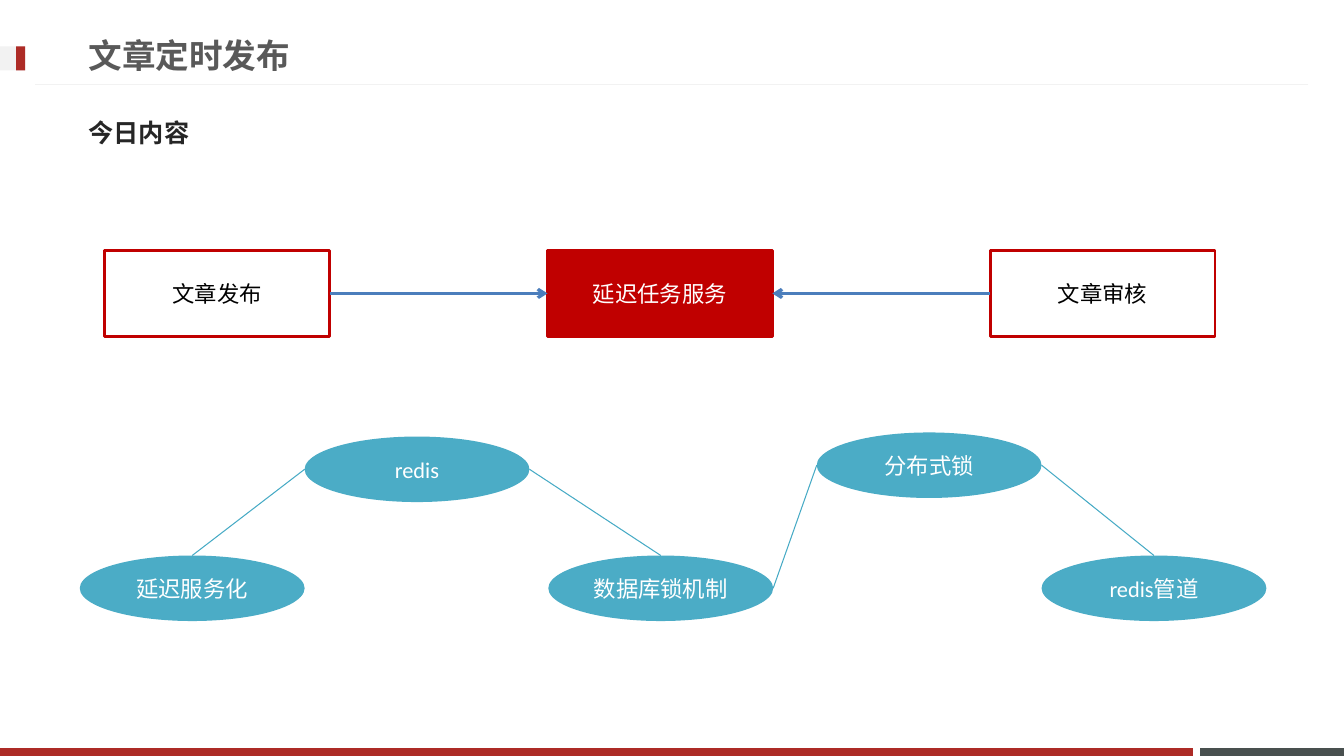
from lxml import etree
from pptx import Presentation
from pptx.dml.color import RGBColor
from pptx.enum.lang import MSO_LANGUAGE_ID
from pptx.enum.shapes import MSO_CONNECTOR, MSO_SHAPE
from pptx.enum.text import MSO_ANCHOR, PP_ALIGN
from pptx.oxml.ns import qn
from pptx.util import Pt

RECT, OVAL = MSO_SHAPE.RECTANGLE, MSO_SHAPE.OVAL
STRAIGHT = MSO_CONNECTOR.STRAIGHT
LEFT, CENTER = PP_ALIGN.LEFT, PP_ALIGN.CENTER
MIDDLE = MSO_ANCHOR.MIDDLE
CHINESE = MSO_LANGUAGE_ID.SIMPLIFIED_CHINESE
COLORS = {
    "brand": "AD2B26", "slate": "49504F", "pale": "F2F2F2",
    "title": "595959", "heading": "262626", "black": "000000", "white": "FFFFFF",
    "red": "C00000", "arrow": "4B7EBC", "teal": "4BACC6", "link": "46AAC5",
}

prs = Presentation()
prs.slide_width, prs.slide_height = Pt(960), Pt(540)
slide = prs.slides.add_slide(prs.slide_layouts[6])
shapes = slide.shapes


def write(sp, text, size=16, font="Calibri", color="white", bold=False, align=CENTER):
    tf = sp.text_frame
    tf.word_wrap = True
    tf.vertical_anchor = MIDDLE
    p = tf.paragraphs[0]
    p.alignment = align
    r = p.add_run()
    r.text = text
    r.font.size, r.font.name, r.font.bold = Pt(size), font, bold
    r.font.color.rgb = RGBColor.from_string(COLORS[color])
    r.font.language_id = CHINESE


def connect(x1, y1, x2, y2, color, width):
    line = shapes.add_connector(STRAIGHT, Pt(x1), Pt(y1), Pt(x2), Pt(y2))
    line.line.color.rgb = RGBColor.from_string(COLORS[color])
    line.line.width = Pt(width)
    etree.SubElement(line._element.spPr, qn("a:effectLst"))
    return line


# Footer bars and title marker
for x, y, w, h, color in [
    (857.3, 534.3, 102.7, 5.7, "slate"),
    (0, 534.3, 852, 5.7, "brand"),
    (0, 33.1, 18, 17.3, "pale"),
    (11.5, 33.1, 6.5, 17.3, "brand"),
]:
    sp = shapes.add_shape(RECT, Pt(x), Pt(y), Pt(w), Pt(h))
    sp.shadow.inherit = False
    sp.fill.solid()
    sp.fill.fore_color.rgb = RGBColor.from_string(COLORS[color])
    sp.line.fill.background()
connect(934.6, 60.5, 25.2, 60.5, "pale", 0.75)

# Title and heading
title = shapes.add_textbox(Pt(56.2), Pt(18.7), Pt(690.5), Pt(41))
write(title, "文章定时发布", size=24, font="Arial", color="title", bold=True, align=LEFT)
heading = shapes.add_textbox(Pt(56.2), Pt(74.2), Pt(842.4), Pt(41))
write(heading, "今日内容", size=18, font="Noto Sans CJK JP", color="heading",
      bold=True, align=LEFT)

# Services
services = []
for i, (text, filled) in enumerate([
    ("文章发布", False), ("延迟任务服务", True), ("文章审核", False),
]):
    sp = shapes.add_shape(RECT, Pt(74.9 + 316.2 * i), Pt(179), Pt(160.6), Pt(61.2))
    sp.shadow.inherit = False
    if filled:
        sp.fill.solid()
        sp.fill.fore_color.rgb = RGBColor.from_string(COLORS["red"])
    else:
        sp.fill.background()
    sp.line.color.rgb = RGBColor.from_string(COLORS["red"])
    sp.line.width = Pt(2)
    write(sp, text, color="white" if filled else "black")
    services.append(sp)

# Arrows into the delay service
publish, delay, review = services
for source, start, end in [(publish, 3, 1), (review, 1, 3)]:
    arrow = connect(0, 0, 10, 10, "arrow", 2.25)
    arrow.begin_connect(source, start)
    arrow.end_connect(delay, end)
    etree.SubElement(arrow.line._get_or_add_ln(), qn("a:tailEnd"), type="arrow")

# Topics
TOPIC_W, TOPIC_H = 160.6, 46.8
topics = [
    ("延迟服务化", 57, 396.8),
    ("redis", 217.6, 311.8),
    ("数据库锁机制", 391.7, 396.8),
    ("分布式锁", 583.4, 308.9),
    ("redis管道", 744, 396.8),
]
for text, x, y in topics:
    sp = shapes.add_shape(OVAL, Pt(x), Pt(y), Pt(TOPIC_W), Pt(TOPIC_H))
    sp.shadow.inherit = False
    sp.fill.solid()
    sp.fill.fore_color.rgb = RGBColor.from_string(COLORS["teal"])
    sp.line.fill.background()
    write(sp, text)

# Links between neighbouring topics, as fractions of each ellipse's box
TOP, WEST, EAST = (0.5, 0), (0, 0.5), (1, 0.5)
sides = [(TOP, WEST), (EAST, TOP), (EAST, WEST), (EAST, TOP)]
for (_, x1, y1), (_, x2, y2), (a, b) in zip(topics, topics[1:], sides):
    connect(x1 + a[0] * TOPIC_W, y1 + a[1] * TOPIC_H,
            x2 + b[0] * TOPIC_W, y2 + b[1] * TOPIC_H, "link", 0.75)

prs.save("out.pptx")
